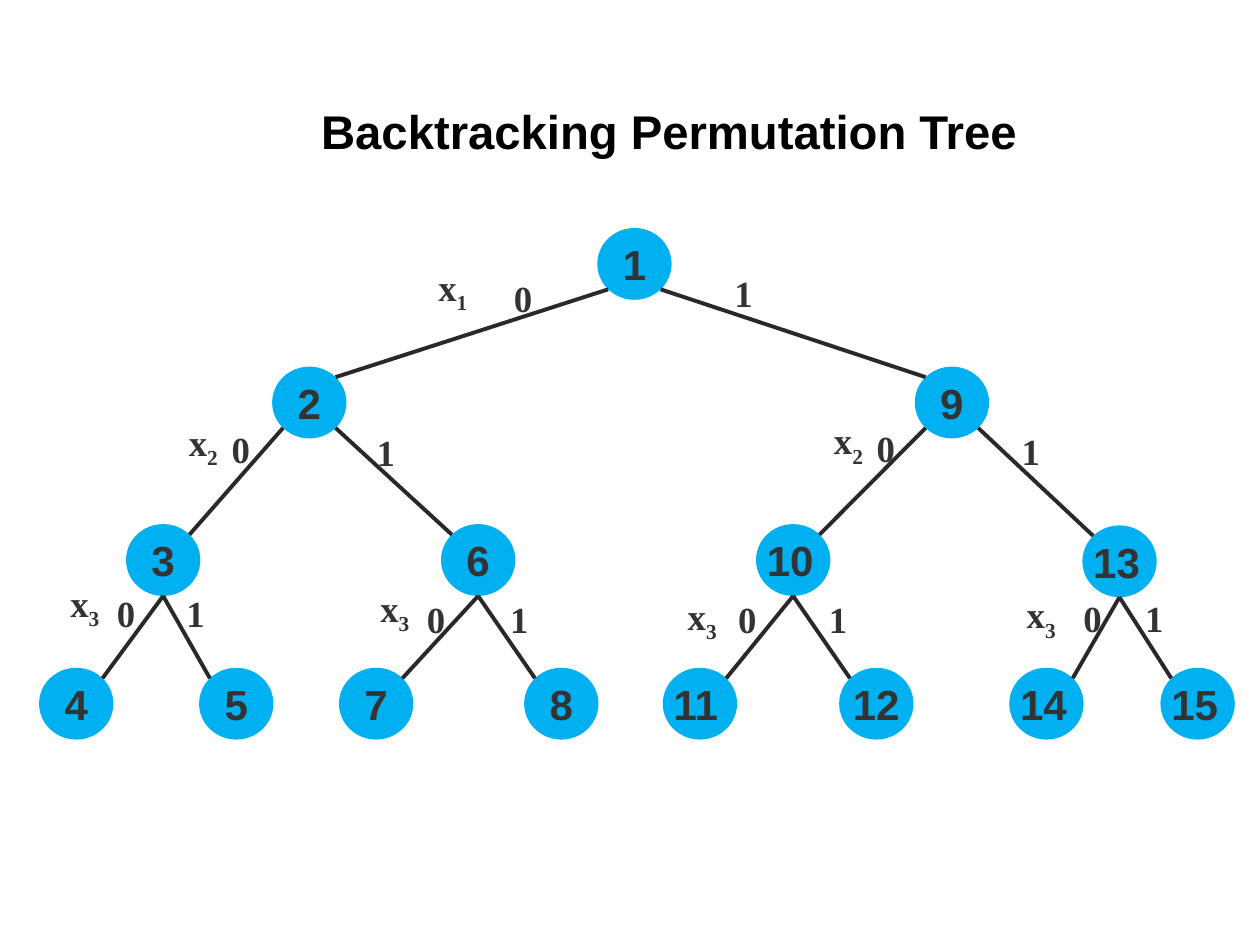
"""Build the backtracking permutation tree slide."""
import lxml.etree
import pptx
import pptx.dml.color
import pptx.enum.shapes
import pptx.enum.text
import pptx.oxml.ns
import pptx.util

Inches = pptx.util.Inches
NODE_WIDTH, NODE_HEIGHT = 0.59, 0.57
DIAGONAL = 0.5 ** 0.5
LEVEL_TOPS = (1.81, 2.91, 4.16, 5.3)

NODES = {
    1: (4.74, LEVEL_TOPS[0]),
    2: (2.16, LEVEL_TOPS[1]), 9: (7.26, LEVEL_TOPS[1]),
    3: (1, LEVEL_TOPS[2]), 6: (3.5, LEVEL_TOPS[2]),
    10: (6, LEVEL_TOPS[2]), 13: (8.59, 4.17),
    4: (0.31, LEVEL_TOPS[3]), 5: (1.58, LEVEL_TOPS[3]),
    7: (2.69, LEVEL_TOPS[3]), 8: (4.16, LEVEL_TOPS[3]),
    11: (5.26, LEVEL_TOPS[3]), 12: (6.66, LEVEL_TOPS[3]),
    14: (8.01, LEVEL_TOPS[3]), 15: (9.21, LEVEL_TOPS[3]),
}
LEFT_ALIGNED = (10, 11, 13, 14, 15)

# parent: (children, variable index, variable place, place of 0, place of 1)
BRANCHES = {
    1: ((2, 9), "1", (3.38, 2.05), (3.98, 2.14), (5.73, 2.1)),
    2: ((3, 6), "2", (1.4, 3.28), (1.74, 3.34), (2.89, 3.36)),
    9: ((10, 13), "2", (6.52, 3.27), (6.86, 3.33), (8.01, 3.35)),
    3: ((4, 5), "3", (0.46, 4.56), (0.83, 4.64), (1.38, 4.64)),
    6: ((7, 8), "3", (2.92, 4.6), (3.29, 4.69), (3.95, 4.69)),
    10: ((11, 12), "3", (5.36, 4.66), (5.76, 4.69), (6.48, 4.69)),
    13: ((14, 15), "3", (8.05, 4.65), (8.5, 4.68), (8.99, 4.68)),
}


def rgb(value):
    """Return the colour for a hex string."""
    return pptx.dml.color.RGBColor.from_string(value)


def add_run(paragraph, text, size, typeface, color):
    """Add one bold run and return it."""
    run = paragraph.add_run()
    run.text = text
    run.font.size = pptx.util.Pt(size)
    run.font.name = typeface
    run.font.bold = True
    run.font.color.rgb = rgb(color)
    return run


def add_title(slide, text):
    """Add the slide heading."""
    heading = slide.shapes.add_textbox(Inches(2.45), Inches(0.69), Inches(6.38), Inches(0.69))
    frame = heading.text_frame
    frame.word_wrap = True
    frame.vertical_anchor = pptx.enum.text.MSO_ANCHOR.MIDDLE
    add_run(frame.paragraphs[0], text, 27, "Arial", "000000")


def add_node(slide, number):
    """Add one numbered tree node."""
    left, top = NODES[number]
    node = slide.shapes.add_shape(
        pptx.enum.shapes.MSO_SHAPE.OVAL,
        Inches(left), Inches(top), Inches(NODE_WIDTH), Inches(NODE_HEIGHT))
    node.shadow.inherit = False
    node.fill.solid()
    node.fill.fore_color.rgb = rgb("00B0F0")
    node.line.fill.background()
    frame = node.text_frame
    frame.vertical_anchor = pptx.enum.text.MSO_ANCHOR.MIDDLE
    frame.margin_left = frame.margin_right = Inches(0.07 if number < 10 else 0)
    frame.margin_top = frame.margin_bottom = Inches(0.04)
    number_line = frame.paragraphs[0]
    align = pptx.enum.text.PP_ALIGN
    number_line.alignment = align.LEFT if number in LEFT_ALIGNED else align.CENTER
    add_run(number_line, str(number), 24, "Arial", "333333")


def rim_point(number, across, down):
    """Return a node's rim point, given the offset from its centre in radii."""
    left, top = NODES[number]
    return (Inches(left + NODE_WIDTH / 2 * (1 + across)),
            Inches(top + NODE_HEIGHT / 2 * (1 + down)))


def add_edge(slide, parent, child, side):
    """Join a parent to its child on the left (-1) or right (1)."""
    if child in BRANCHES:
        start = rim_point(parent, side * DIAGONAL, DIAGONAL)
    else:
        start = rim_point(parent, 0, 1)
    end = rim_point(child, -side * DIAGONAL, -DIAGONAL)
    edge = slide.shapes.add_connector(pptx.enum.shapes.MSO_CONNECTOR.STRAIGHT, *start, *end)
    edge.line.color.rgb = rgb("292929")
    edge.line.width = pptx.util.Pt(2.25)
    lxml.etree.SubElement(edge._element.spPr, pptx.oxml.ns.qn("a:effectLst"))


def add_label(slide, place, width, text, subscript=""):
    """Add an edge value, or a variable name with its subscript."""
    left, top = place
    label = slide.shapes.add_textbox(Inches(left), Inches(top), Inches(width), Inches(0.45))
    frame = label.text_frame
    frame.word_wrap = bool(subscript)
    frame.auto_size = pptx.enum.text.MSO_AUTO_SIZE.SHAPE_TO_FIT_TEXT
    paragraph = frame.paragraphs[0]
    paragraph.space_before = pptx.util.Pt(2)
    add_run(paragraph, text, 21, "Times New Roman", "333333")
    if subscript:
        index = add_run(paragraph, subscript, 21, "Times New Roman", "333333")
        index.font._element.set("baseline", "-25000")


def main():
    """Build and save the slide."""
    presentation = pptx.Presentation()
    presentation.slide_width, presentation.slide_height = Inches(10), Inches(7.5)
    slide = presentation.slides.add_slide(presentation.slide_layouts[6])
    add_title(slide, "Backtracking Permutation Tree")
    for number in NODES:
        add_node(slide, number)
    for parent, (children, index, variable_place, *value_places) in BRANCHES.items():
        for child, side in zip(children, (-1, 1)):
            add_edge(slide, parent, child, side)
        add_label(slide, variable_place, 0.45 if index == "3" else 0.49, "x", index)
        for value, place in enumerate(value_places):
            add_label(slide, place, 0.35, str(value))
    presentation.save("out.pptx")


if __name__ == "__main__":
    main()
